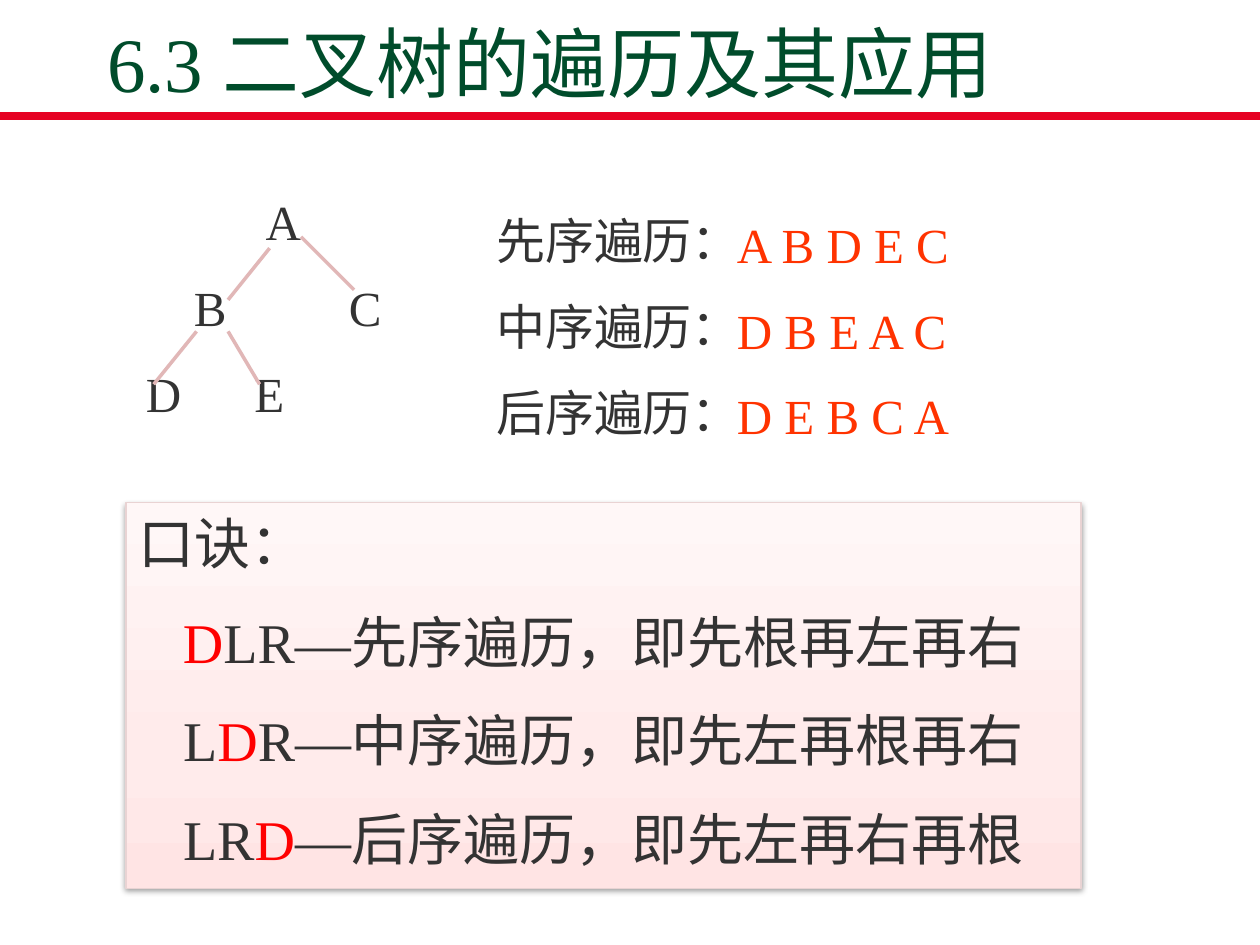
from pptx import Presentation
from pptx.dml.color import RGBColor
from pptx.enum.shapes import MSO_CONNECTOR as Conn, MSO_SHAPE as Shape
from pptx.enum.text import MSO_ANCHOR as Anchor, MSO_AUTO_SIZE as Fit, PP_ALIGN as Align
from pptx.oxml import parse_xml
from pptx.oxml.ns import nsdecls
from pptx.util import Inches, Pt

FONT = "Times New Roman"
HUES = {
    "title": "004C2B", "rule": "E60223", "text": "333333", "edge": "E1B7B7",
    "order": "FF3300", "root": "FF0000", "frame": "E9D3D3",
    "low": "FFE4E4", "mid": "FFEBEB", "high": "FFF7F7",
}
NS = nsdecls("a")


def color(name):
    return RGBColor.from_string(HUES[name])


def add_run(para, text, size, hue):
    run = para.add_run()
    run.text = text
    run.font.size = Pt(size)
    run.font.name = FONT
    run.font.color.rgb = color(hue)


def add_line(slide, start, end, hue, width):
    line = slide.shapes.add_connector(Conn.STRAIGHT, *map(Inches, start + end))
    line.line.color.rgb = color(hue)
    line.line.width = Pt(width)
    line._element.spPr.append(parse_xml(f"<a:effectLst {NS}/>"))


def fill_text(frame, rows, size, gap, align=Align.LEFT):
    """Each row is a list of (text, hue) runs."""
    frame.word_wrap = True
    frame.auto_size = Fit.SHAPE_TO_FIT_TEXT
    frame.vertical_anchor = Anchor.TOP
    for i, row in enumerate(rows):
        para = frame.paragraphs[0] if i == 0 else frame.add_paragraph()
        para.alignment = align
        if i:
            para.space_before = Pt(gap)
        for text, hue in row:
            add_run(para, text, size, hue)


def add_list(slide, box, lines, hue, align=Align.LEFT):
    frame = slide.shapes.add_textbox(*map(Inches, box)).text_frame
    fill_text(frame, [[(text, hue)] for text in lines], 28, 15.5, align)
    return frame


def add_title(slide, box, text):
    title = slide.shapes.title
    title.left, title.top, title.width, title.height = map(Inches, box)
    frame = title.text_frame
    frame.auto_size = Fit.NONE
    frame.vertical_anchor = Anchor.BOTTOM
    para = frame.paragraphs[0]
    para.alignment = Align.LEFT
    add_run(para, text, 44, "title")


def add_tree(slide, box):
    # Nodes sit at tab stops, one level to a line
    frame = add_list(slide, box, ["\tA", "\tB\tC", "D\tE"], "text")
    for para, stops in zip(frame.paragraphs, [(0.95,), (0.38, 1.61), (0.86,)]):
        tabs = "".join(f'<a:tab pos="{Inches(s)}" algn="l"/>' for s in stops)
        para._p.get_or_add_pPr().append(
            parse_xml(f"<a:tabLst {NS}>{tabs}</a:tabLst>"))
    # Branches, as offsets from the corner of the box
    left, top = box[:2]
    for x1, y1, x2, y2 in [(1.08, 0.5, 0.75, 0.91), (1.33, 0.41, 1.75, 0.83),
                           (0.75, 1.16, 1, 1.58), (0.5, 1.16, 0.16, 1.58)]:
        add_line(slide, (left + x1, top + y1), (left + x2, top + y2), "edge", 2)


def add_orders(slide, box):
    left, top, width, height = box
    names = [f"{name}序遍历：" for name in "先中后"]
    add_list(slide, (left, top, 2.23, height), names, "text", Align.JUSTIFY)
    add_list(slide, (left + 1.91, top + 0.03, width - 1.91, height),
             ["A B D E C", "D B E A C", "D E B C A"], "order")


def add_rhyme(slide, box):
    panel = slide.shapes.add_shape(Shape.RECTANGLE, *map(Inches, box))
    panel.line.color.rgb = color("frame")
    panel.line.width = Pt(0.75)
    # Three-stop gradient, rising from the bottom, and a soft shadow
    panel.fill.gradient()
    panel.fill.gradient_angle = 90
    props = panel._element.spPr
    stops = props.find(".//{*}gsLst")
    for stop in list(stops):
        stops.remove(stop)
    for pos, name in [(0, "low"), (35, "mid"), (100, "high")]:
        stops.append(parse_xml(f'<a:gs {NS} pos="{pos * 1000}">'
                               f'<a:srgbClr val="{HUES[name]}"/></a:gs>'))
    props.append(parse_xml(
        f'<a:effectLst {NS}><a:outerShdw blurRad="{Pt(3.1)}" dist="{Pt(1.6)}" '
        'dir="5400000" rotWithShape="0"><a:srgbClr val="000000">'
        '<a:alpha val="38000"/></a:srgbClr></a:outerShdw></a:effectLst>'))
    # Heading, then one centred line for each order
    rows = [[("口诀：", "text")]]
    for before, after in [("", "LR—先序遍历，即先根再左再右"),
                          ("L", "R—中序遍历，即先左再根再右"),
                          ("LR", "—后序遍历，即先左再右再根")]:
        row = [(before, "text"), ("D", "root"), (after, "text")]
        rows.append([part for part in row if part[0]])
    frame = panel.text_frame
    fill_text(frame, rows, 32, 17.8, Align.CENTER)
    frame.paragraphs[0].alignment = Align.LEFT


def main():
    deck = Presentation()
    deck.slide_width, deck.slide_height = Inches(10), Inches(7.5)
    slide = deck.slides.add_slide(deck.slide_layouts[5])
    add_line(slide, (0, 0.92), (10, 0.92), "rule", 4.5)
    add_title(slide, (0.75, 0.26, 8.5, 0.65), "6.3 二叉树的遍历及其应用")
    add_orders(slide, (3.84, 1.62, 3.91, 1.97))
    add_tree(slide, (1.06, 1.47, 2.45, 1.97))
    add_rhyme(slide, (1, 3.99, 7.58, 3.06))
    deck.save("out.pptx")


if __name__ == "__main__":
    main()
